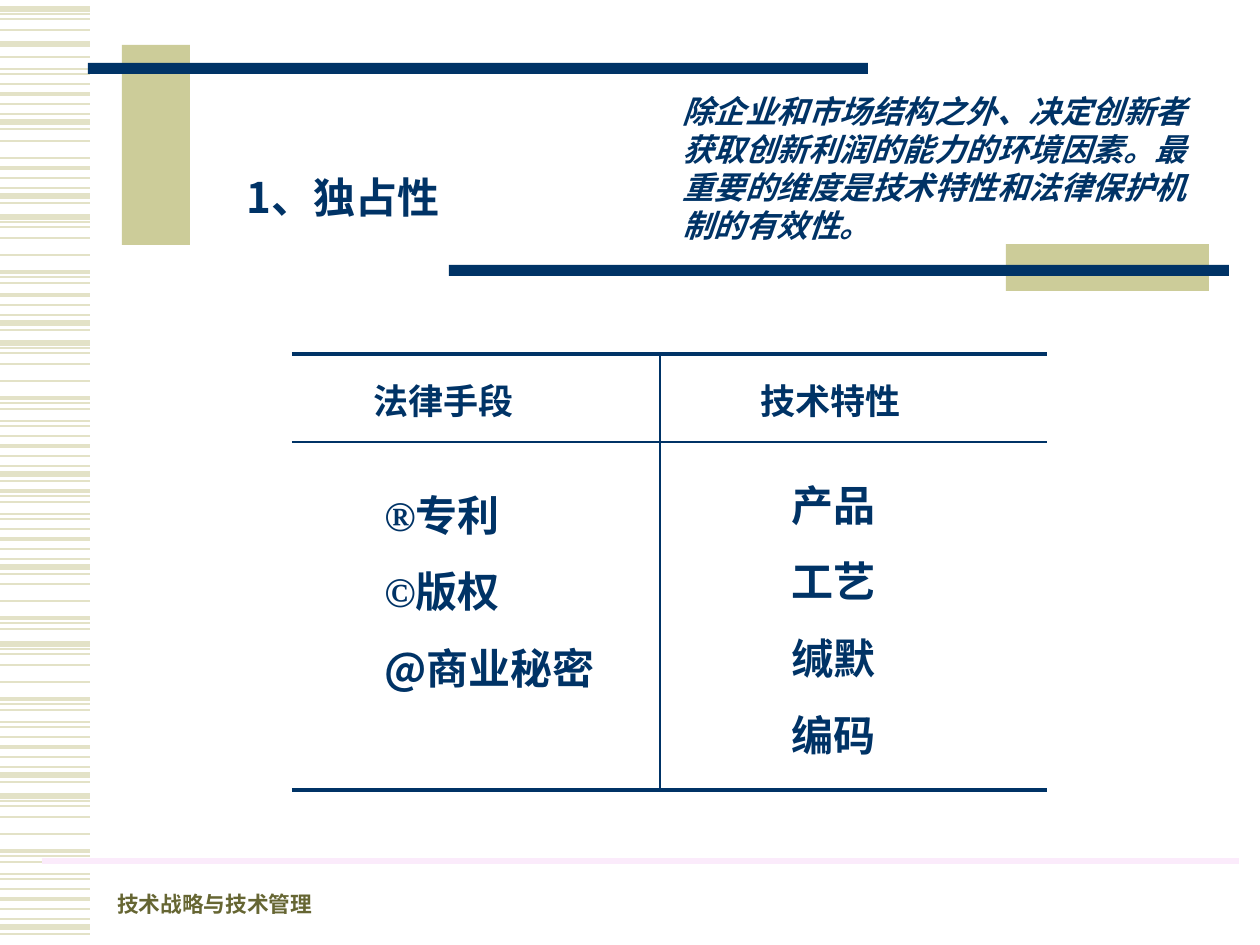
from lxml.etree import SubElement
from pptx import Presentation
from pptx.dml.color import RGBColor
from pptx.enum.shapes import MSO_CONNECTOR as Connector, MSO_SHAPE as Shape
from pptx.enum.text import MSO_ANCHOR as Anchor, MSO_AUTO_SIZE as AutoSize
from pptx.oxml.ns import qn
from pptx.util import Emu, Pt

COLORS = {
    "navy": "003366",
    "khaki": "CCCC99",
    "stripe": "E3E2C7",
    "pink": "FBEBFB",
    "olive": "666633",
}
SERIF = "Times New Roman"
SANS = "Noto Sans CJK SC"

# One run of margin stripes: (offset in px, weight in points)
STRIPE_MOTIF = [
    (0, 3), (5, 0.75), (10, 1), (21, 1), (38, 1), (55, 2.25), (60, 0.75), (66, 1.5),
    (78, 0.75), (83, 1.5), (93, 1), (103, 2.25), (113, 1.5), (123, 0.75), (131, 3), (138, 1.5),
]
# Where the motif starts in px, and which of its stripes are used
STRIPE_RUNS = [
    (9, 0, 4), (44, 0, 1), (-9, 7, 16), (120, 3, 5), (65, 11, 16), (217, 0, 8),
    (192, 11, 16), (343, 0, 16), (436, 5, 16), (563, 3, 8), (644, 0, 16), (796, 0, 16),
]


def px(length):
    return Emu(round(length * 914400 / 126))


def rgb(name):
    return RGBColor.from_string(COLORS[name])


def add_line(slide, start, end, color, weight):
    line = slide.shapes.add_connector(Connector.STRAIGHT, *map(px, start + end))
    line.line.color.rgb = rgb(color)
    line.line.width = Pt(weight)
    SubElement(line._element.spPr, qn("a:effectLst"))


def add_bar(slide, box, color):
    bar = slide.shapes.add_shape(Shape.RECTANGLE, *map(px, box))
    bar.shadow.inherit = False
    bar.fill.solid()
    bar.fill.fore_color.rgb = rgb(color)
    bar.line.fill.background()


def add_text(slide, box, lines, size, color="navy", font=SERIF, before=0, italic=None):
    """Each line is a list of (text, font override or None) pieces."""
    frame = slide.shapes.add_textbox(*map(px, box)).text_frame
    frame.word_wrap = True
    for index, pieces in enumerate(lines):
        paragraph = frame.paragraphs[0] if index == 0 else frame.add_paragraph()
        paragraph.space_before = Pt(before)
        paragraph.font.size = Pt(size)
        paragraph.font.bold = True
        paragraph.font.italic = italic
        paragraph.font.color.rgb = rgb(color)
        paragraph.font.name = font
        defaults = paragraph._p.pPr.find(qn("a:defRPr"))
        SubElement(defaults, qn("a:ea"), typeface=SANS)
        for text, override in pieces:
            run = paragraph.add_run()
            run.text = text
            if override:
                run.font.name = override
    return frame


def plain(*texts):
    return [[(text, None)] for text in texts]


def add_margin_stripes(slide, left, top, width):
    for origin, first, last in STRIPE_RUNS:
        for offset, weight in STRIPE_MOTIF[first:last]:
            y = top + origin + offset
            add_line(slide, (left, y), (left + width, y), "stripe", weight)


def add_header(slide, left, top):
    """Crossed bars framing the title and the explanation."""
    for x, y, width, height, color in [
        (34, 0, 68, 200, "khaki"),
        (0, 18, 780, 11, "navy"),
        (918, 199, 203, 47, "khaki"),
        (361, 220, 780, 11, "navy"),
    ]:
        add_bar(slide, (left + x, top + y, width, height), color)
    title = add_text(slide, (left + 146, top + 120, 377, 63), plain("1、独占性"),
                     24, font=SANS, before=15)
    reason = add_text(
        slide, (left + 582, top + 41, 536, 164),
        plain("除企业和市场结构之外、决定创新者获取创新利润的能力的环境因素。"
              "最重要的维度是技术特性和法律保护机制的有效性。"),
        18, before=11.2, italic=True)
    for frame in (title, reason):
        frame.auto_size = AutoSize.SHAPE_TO_FIT_TEXT


def add_comparison(slide, left, top, width, height):
    """Two ruled columns: legal means and nature of the technology."""
    right, bottom, divider = left + width, top + height, left + 368
    for y, weight in [(top, 2.25), (top + 88, 0.75), (bottom, 2.25)]:
        add_line(slide, (left, y), (right, y), "navy", weight)
    add_line(slide, (divider, top), (divider, bottom), "navy", 0.75)

    for x, heading in [(69, "法律手段"), (456, "技术特性")]:
        frame = add_text(slide, (left + x, top + 19, 208, 55), plain(heading), 20, before=12.5)
        frame.auto_size = AutoSize.SHAPE_TO_FIT_TEXT

    legal_means = [
        [("®", SERIF), ("专利", None)],
        [("©", SERIF), ("版权", None)],
        [("@商业秘密", None)],
    ]
    traits = plain("产品", "工艺", "缄默", "编码")
    for x, y, w, h, lines, font in [
        (80, 129, 268, 217, legal_means, SANS),
        (487, 119, 169, 294, traits, SERIF),
    ]:
        frame = add_text(slide, (left + x, top + y, w, h), lines, 24, font=font, before=15)
        frame.auto_size = AutoSize.SHAPE_TO_FIT_TEXT


def add_footer(slide, left, top, width):
    add_line(slide, (left, top), (left + width, top), "pink", 3)
    footer = add_text(slide, (left + 63, top + 19, 328, 43), plain("技术战略与技术管理"),
                      12.4, color="olive")
    footer.vertical_anchor = Anchor.BOTTOM


def main():
    deck = Presentation()
    deck.slide_width, deck.slide_height = px(1260), px(945)
    slide = deck.slides.add_slide(deck.slide_layouts[6])
    add_margin_stripes(slide, 0, 0, 90)
    add_header(slide, 88, 45)
    add_footer(slide, 42, 861, 1197)
    add_comparison(slide, 292, 354, 755, 436)
    deck.save("out.pptx")


if __name__ == "__main__":
    main()
